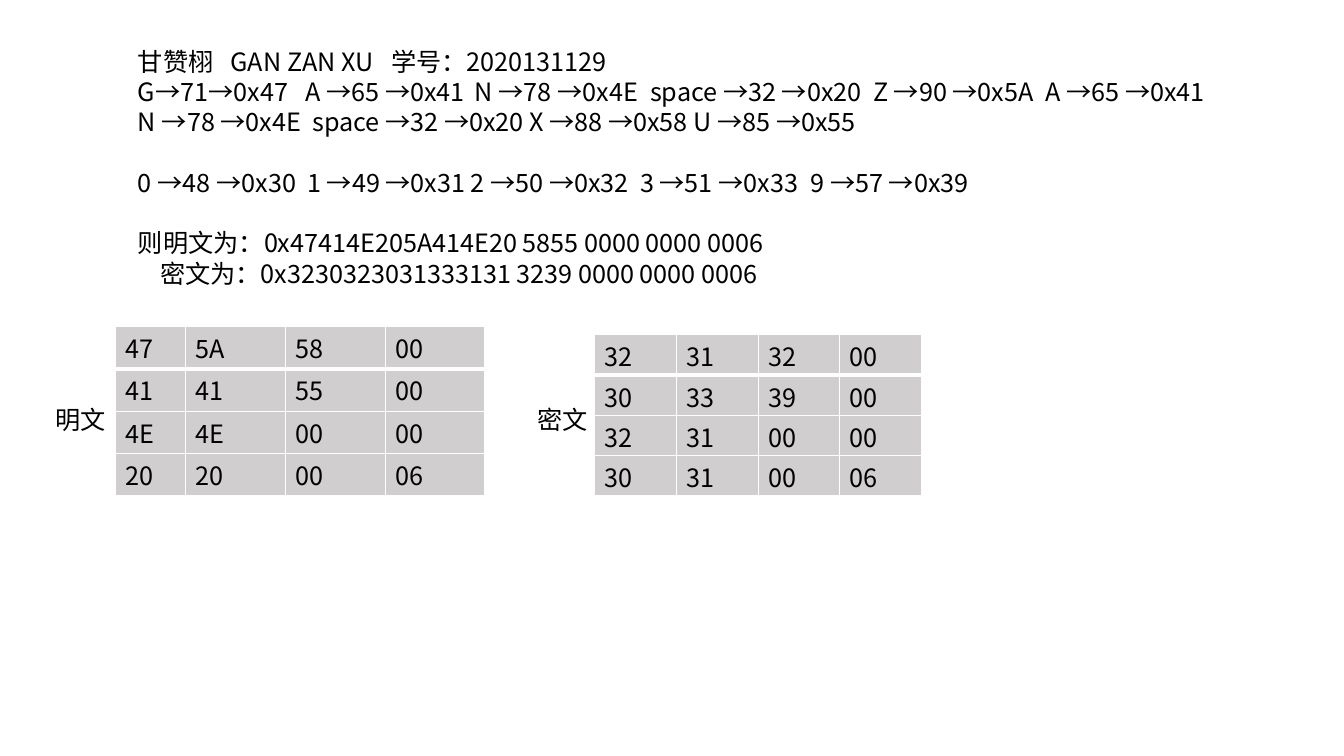
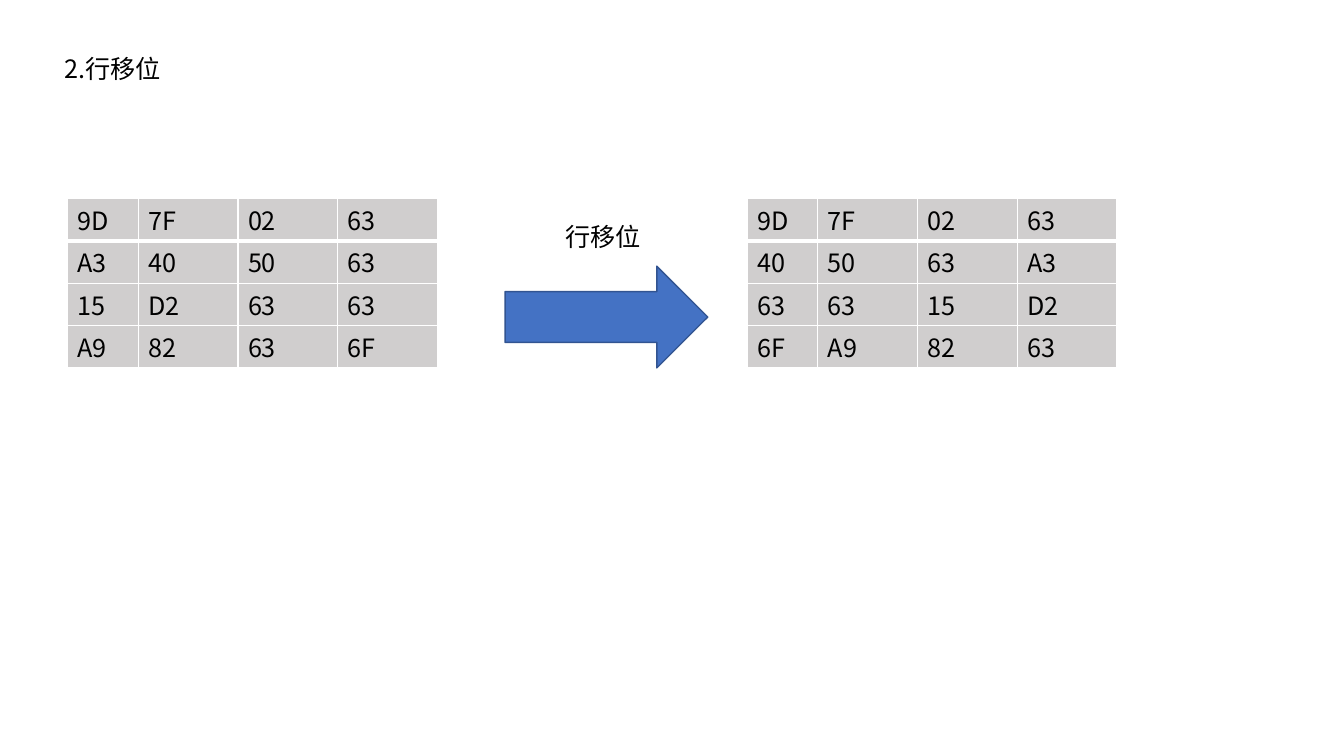
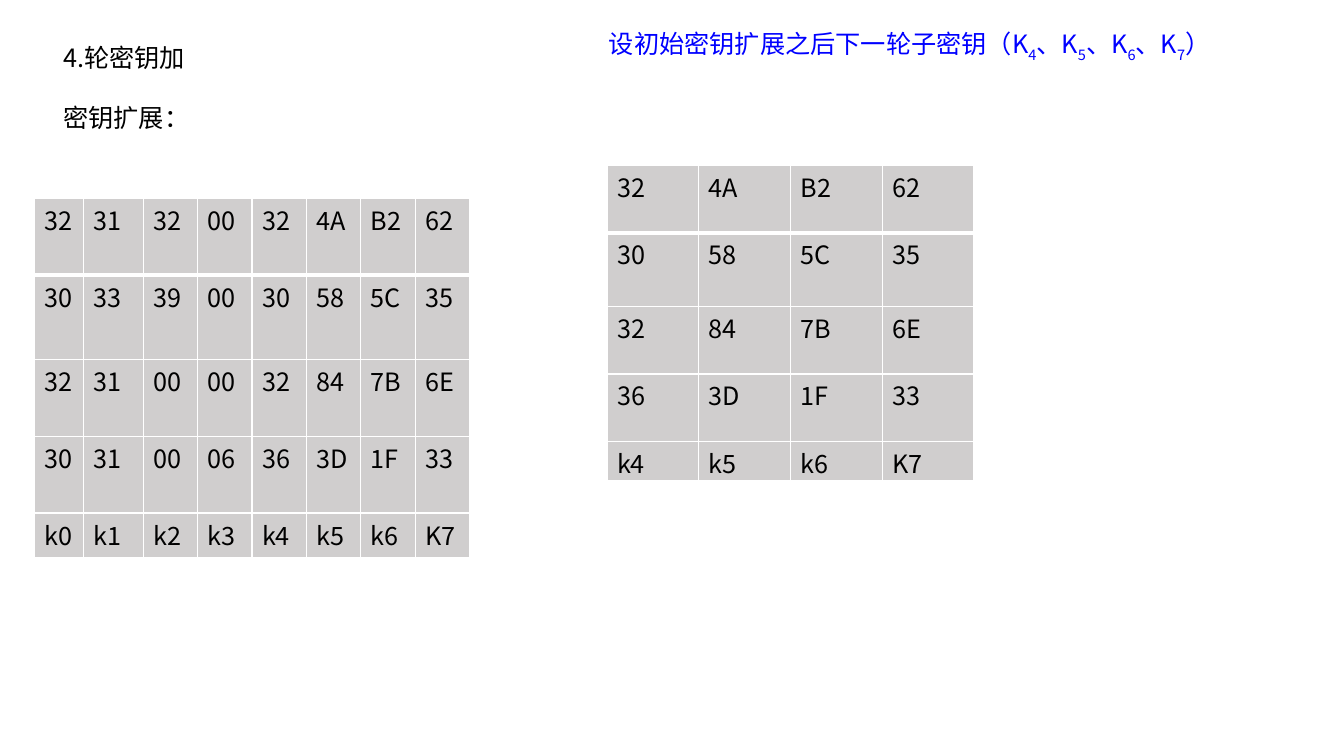
from lxml import etree
from pptx import Presentation
from pptx import util as u
from pptx.dml.color import RGBColor
from pptx.enum import shapes
from pptx.oxml.ns import qn

PX = 9144  # 100 px to the inch
FONT = "Noto Sans CJK SC"
SIZE = u.Pt(18)
LINE = 21.6  # line pitch in points
COLORS = {
    "ink": "000000", "note": "0000FF", "cell": "D0CECE",
    "rule": "FFFFFF", "arrow": "4472C4", "arrow_edge": "325491",
}

PLAIN = ["47 5A 58 00", "41 41 55 00", "4E 4E 00 00", "20 20 00 06"]
KEY = ["32 31 32 00", "30 33 39 00", "32 31 00 00", "30 31 00 06"]
SUBSTITUTED = ["9D 7F 02 63", "A3 40 50 63", "15 D2 63 63", "A9 82 63 6F"]
ROUND_KEY = ["32 4A B2 62", "30 58 5C 35", "32 84 7B 6E", "36 3D 1F 33"]

STATE_COLS, STATE_ROWS = [70, 99, 99, 99], [42] * 4

# Each line: pieces of text, the tab stops between them, and options.
ENCODING = [
    (["甘赞栩", "GAN ZAN XU", "学号：2020131129"], [92, 251], {}),
    (["G→71→0x47", "A →65 →0x41", "N →78 →0x4E", "space →32 →0x20",
      "Z →90 →0x5A", "A →65 →0x41"], [166, 334, 508, 729, 900], {}),
    (["N →78 →0x4E", "space →32 →0x20", "X →88 →0x58", "U →85 →0x55"],
     [173, 388, 551], {}),
    (["0 →48 →0x30", "1 →49 →0x31", "2 →50 →0x32", "3 →51 →0x33",
      "9 →57 →0x39"], [168, 330, 498, 667], {"gap": True}),
    (["则明文为：0x47414E205A414E20 5855 0000 0000 0006"], [], {"gap": True}),
    (["密文为：0x3230323031333131 3239 0000 0000 0006"], [], {"indent": 22}),
]
KEY_HEADING = [(["4.轮密钥加"], [], {}), (["密钥扩展："], [], {"gap": True})]
NEXT_KEYS = ["设初始密钥扩展之后下一轮子密钥（K", "4", "、K", "5", "、K", "6",
             "、K", "7", "）"]


def rgb(name):
    return RGBColor.from_string(COLORS[name])


def px(*lengths):
    return [u.Emu(length * PX) for length in lengths]


def style(paragraph, color="ink", pitch=LINE):
    paragraph.line_spacing = u.Pt(pitch)
    font = paragraph.font
    font.size, font.name = SIZE, FONT
    font.color.rgb = rgb(color)
    defaults = paragraph._p.pPr.find(qn("a:defRPr"))
    etree.SubElement(defaults, qn("a:ea"), typeface=FONT)


def add_text_frame(slide, box, wrap):
    frame = slide.shapes.add_textbox(*px(*box)).text_frame
    frame.word_wrap = wrap
    return frame


def add_lines(slide, box, lines):
    frame = add_text_frame(slide, box, True)
    for i, (pieces, stops, options) in enumerate(lines):
        line = frame.add_paragraph() if i else frame.paragraphs[0]
        line.text = "\t".join(pieces)
        props = line._p.get_or_add_pPr()
        if "indent" in options:
            props.set("marL", str(options["indent"] * PX))
        if stops:
            tabs = etree.SubElement(props, qn("a:tabLst"))
            for stop in stops:
                etree.SubElement(tabs, qn("a:tab"), pos=str(stop * PX), algn="l")
        if options.get("gap"):
            line.space_before = u.Pt(LINE)
        style(line)


def add_label(slide, box, label):
    frame = add_text_frame(slide, box, False)
    frame.text = label
    style(frame.paragraphs[0])


def add_subscripted(slide, box, pieces):
    """Write the pieces in turn, every second one as a subscript."""
    line = add_text_frame(slide, box, True).paragraphs[0]
    for i, piece in enumerate(pieces):
        run = line.add_run()
        run.text = piece
        if i % 2:
            run._r.get_or_add_rPr().set("baseline", "-30000")
    style(line, "note", 24)


def rule_cell(cell, bottom_width):
    props = cell._tc.get_or_add_tcPr()
    for side in "LRTB":
        width = bottom_width if side == "B" else 1
        edge = etree.SubElement(props, qn("a:ln" + side), w=str(u.Pt(width)))
        fill = etree.SubElement(edge, qn("a:solidFill"))
        etree.SubElement(fill, qn("a:srgbClr"), val=COLORS["rule"])


def add_matrix(slide, left, top, rows, widths, heights):
    box = px(left, top, sum(widths), sum(heights))
    table = slide.shapes.add_table(len(heights), len(widths), *box).table
    table.first_row = table.horz_banding = False
    for column, width in zip(table.columns, px(*widths)):
        column.width = width
    for row, height in zip(table.rows, px(*heights)):
        row.height = height
    for r, row in enumerate(rows):
        for c, value in enumerate(row.split()):
            cell = table.cell(r, c)
            cell.text = value
            cell.margin_top, cell.margin_bottom = px(9, 0)
            rule_cell(cell, 1 if r else 3)
            cell.fill.solid()
            cell.fill.fore_color.rgb = rgb("cell")
            style(cell.text_frame.paragraphs[0])


def shift_rows(rows):
    """Rotate row n to the left by n bytes."""
    cells = [row.split() for row in rows]
    return [" ".join(row[n:] + row[:n]) for n, row in enumerate(cells)]


def build_encoding(slide):
    add_lines(slide, (127, 41, 1138, 252), ENCODING)
    add_matrix(slide, 114, 324, PLAIN, STATE_COLS, STATE_ROWS)
    add_matrix(slide, 590, 332, KEY, [81] * 4, [40] * 4)
    for left, label in [(45, "明文"), (523, "密文")]:
        add_label(slide, (left, 396, 71, 40), label)


def build_row_shift(slide):
    add_lines(slide, (54, 48, 1242, 101), [(["2.行移位"], [], {})])
    arrow = slide.shapes.add_shape(shapes.MSO_SHAPE.RIGHT_ARROW,
                                   *px(501, 264, 201, 101))
    arrow.shadow.inherit = False
    arrow.fill.solid()
    arrow.fill.fore_color.rgb = rgb("arrow")
    arrow.line.color.rgb = rgb("arrow_edge")
    arrow.line.width = u.Pt(1)
    add_label(slide, (551, 215, 96, 40), "行移位")
    for left, rows in [(67, SUBSTITUTED), (741, shift_rows(SUBSTITUTED))]:
        add_matrix(slide, left, 197, rows, STATE_COLS, STATE_ROWS)


def build_key_expansion(slide):
    add_lines(slide, (53, 37, 500, 131), KEY_HEADING)
    expanded = [f"{old} {new}" for old, new in zip(KEY, ROUND_KEY)]
    add_matrix(slide, 34, 197, expanded + ["k0 k1 k2 k3 k4 k5 k6 K7"],
               [49, 59] + [54] * 6, [76, 84, 76, 76, 44])
    add_subscripted(slide, (594, 25, 617, 75), NEXT_KEYS)
    add_matrix(slide, 602, 164, ROUND_KEY + ["k4 k5 k6 K7"],
               [91] * 4, [67, 73, 67, 67, 39])


def main():
    deck = Presentation()
    deck.slide_width, deck.slide_height = px(1333, 750)
    for build in (build_encoding, build_row_shift, build_key_expansion):
        build(deck.slides.add_slide(deck.slide_layouts[6]))
    deck.save("out.pptx")


if __name__ == "__main__":
    main()
